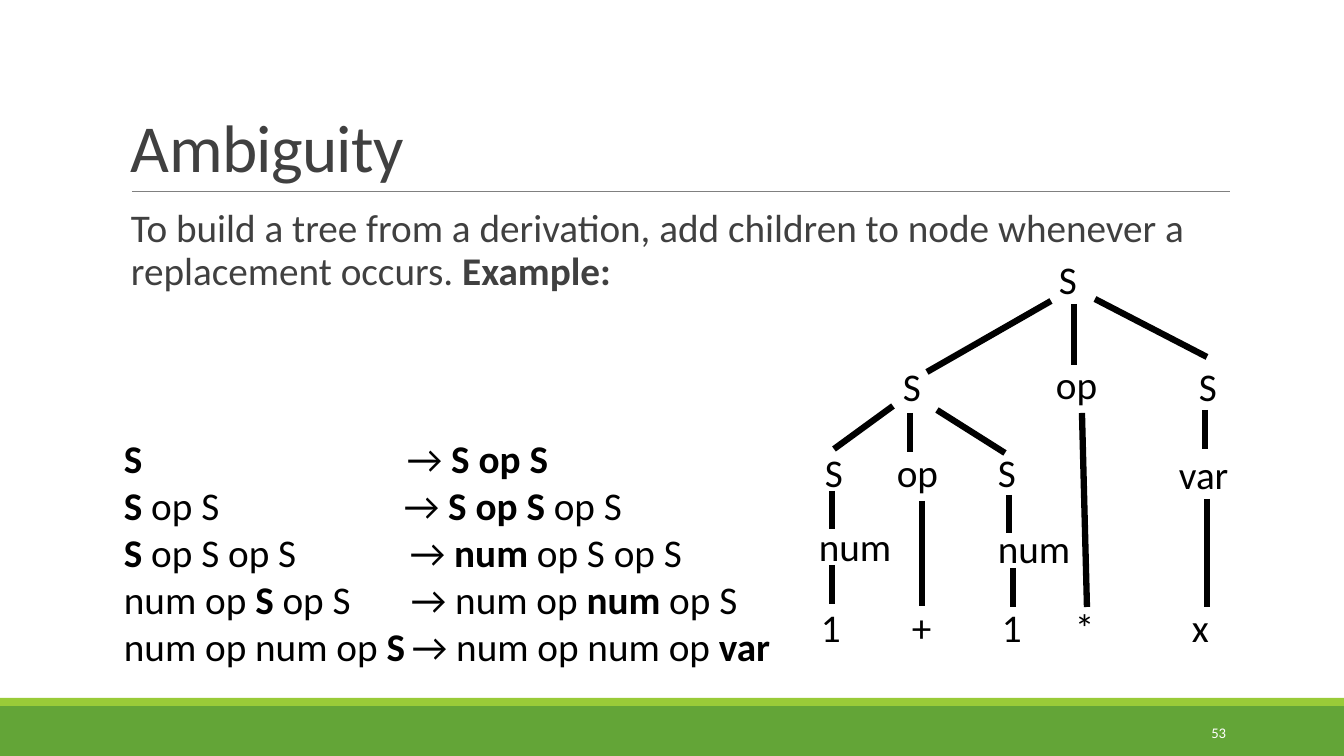
from dataclasses import dataclass
from typing import NamedTuple

from lxml import etree
from pptx import Presentation
from pptx import util as u
from pptx.dml.color import RGBColor
from pptx.enum import shapes, text
from pptx.oxml import ns

EMU_PER_PX = 12192000 / 1344


@dataclass(frozen=True)
class Theme:
    font: str = "Calibri"
    ink: str = "000000"
    heading: str = "404040"
    rule: str = "808080"
    band: str = "63A537"
    accent: str = "99CB38"
    paper: str = "FFFFFF"
    title_size: float = 48
    text_size: float = 28
    number_size: float = 10.5
    branch_width: float = 4.5
    rule_width: float = 0.5


class Span(NamedTuple):
    text: str
    bold: bool = False


class Frame(NamedTuple):
    left: int
    top: int
    width: int
    height: int


class Node(NamedTuple):
    label: str
    left: int
    top: int


class Branch(NamedTuple):
    x1: int
    y1: int
    x2: int
    y2: int


class Step(NamedTuple):
    arrow_tab: int
    before: list[Span]
    after: list[Span]


THEME = Theme()
NODE_HEIGHT = 57
NODE_WIDTHS = {"op": 70, "num": 105, "var": 106}
LEAF_TOP = 598

NODES = [
    Node("S", 1049, 250),
    Node("S", 893, 357), Node("op", 1046, 355), Node("S", 1189, 357),
    Node("S", 815, 443), Node("op", 887, 443), Node("S", 988, 443),
    Node("var", 1169, 445),
    Node("num", 809, 517), Node("num", 988, 519),
] + [
    Node(label, left, LEAF_TOP)
    for label, left in [("1", 811), ("+", 902), ("1", 992), ("*", 1065), ("x", 1182)]
]

BRANCHES = [
    Branch(1051, 301, 927, 372), Branch(1074, 304, 1074, 365),
    Branch(1095, 299, 1207, 357),
    Branch(893, 406, 834, 449), Branch(910, 413, 910, 452),
    Branch(937, 410, 1005, 453), Branch(1205, 410, 1205, 449),
    Branch(832, 491, 832, 529), Branch(1009, 495, 1009, 533),
    Branch(832, 565, 832, 604), Branch(922, 501, 922, 606),
    Branch(1013, 568, 1013, 607), Branch(1082, 413, 1087, 607),
    Branch(1207, 499, 1207, 607),
]

STEPS = [
    Step(283, [Span("S", True)], [Span("S op S", True)]),
    Step(280, [Span("S", True), Span(" op S")],
         [Span("S op S", True), Span(" op S")]),
    Step(286, [Span("S", True), Span(" op S op S")],
         [Span("num", True), Span(" op S op S")]),
    Step(287, [Span("num op "), Span("S", True), Span(" op S")],
         [Span("num op "), Span("num", True), Span(" op S")]),
    Step(288, [Span("num op num op "), Span("S", True)],
         [Span("num op num op "), Span("var", True)]),
]


def px(length: float) -> u.Emu:
    return u.Emu(round(length * EMU_PER_PX))


def add_band(page, frame: Frame, color: str) -> None:
    band = page.shapes.add_shape(shapes.MSO_SHAPE.RECTANGLE, *map(px, frame))
    band.shadow.inherit = False
    band.fill.solid()
    band.fill.fore_color.rgb = RGBColor.from_string(color)
    band.line.fill.background()


def add_line(page, branch: Branch, color: str, width: float) -> None:
    line = page.shapes.add_connector(shapes.MSO_CONNECTOR.STRAIGHT, *map(px, branch))
    line.line.color.rgb = RGBColor.from_string(color)
    line.line.width = u.Pt(width)
    etree.SubElement(line._element.spPr, ns.qn("a:effectLst"))


def add_box(page, frame: Frame, anchor=text.MSO_ANCHOR.TOP):
    box = page.shapes.add_textbox(*map(px, frame))
    box.text_frame.word_wrap = True
    box.text_frame.vertical_anchor = anchor
    return box.text_frame


def add_spans(para, spans: list[Span], size: float, color: str) -> None:
    for span in spans:
        run = para.add_run()
        run.text = span.text
        run.font.name = THEME.font
        run.font.size = u.Pt(size)
        run.font.bold = span.bold
        run.font.color.rgb = RGBColor.from_string(color)


def add_title(page) -> None:
    frame = add_box(page, Frame(121, 31, 1109, 160), text.MSO_ANCHOR.BOTTOM)
    para = frame.paragraphs[0]
    para.line_spacing = 0.85
    add_spans(para, [Span("Ambiguity")], THEME.title_size, THEME.heading)
    para.runs[0].font._element.set("spc", "-50")


def add_intro(page) -> None:
    frame = add_box(page, Frame(121, 204, 1109, 90))
    frame.margin_left = px(10)
    frame.margin_right = 0
    para = frame.paragraphs[0]
    para.line_spacing = 0.9
    sentence = ("To build a tree from a derivation, add children to node "
                "whenever a replacement occurs. ")
    add_spans(para, [Span(sentence), Span("Example:", True)],
              THEME.text_size, THEME.heading)


def add_derivation(page) -> None:
    frame = add_box(page, Frame(114, 429, 672, 248))
    for index, step in enumerate(STEPS):
        para = frame.paragraphs[0] if index == 0 else frame.add_paragraph()
        tabs = etree.SubElement(para._p.get_or_add_pPr(), ns.qn("a:tabLst"))
        etree.SubElement(tabs, ns.qn("a:tab"), pos=str(px(step.arrow_tab)), algn="l")
        add_spans(para, [*step.before, Span("\t→ "), *step.after],
                  THEME.text_size, THEME.ink)


def add_node(page, node: Node) -> None:
    width = NODE_WIDTHS.get(node.label, 45)
    frame = add_box(page, Frame(node.left, node.top, width, NODE_HEIGHT))
    add_spans(frame.paragraphs[0], [Span(node.label)], THEME.text_size, THEME.ink)


def add_page_number(page) -> None:
    frame = add_box(page, Frame(1092, 713, 144, 40), text.MSO_ANCHOR.MIDDLE)
    para = frame.paragraphs[0]
    para.alignment = text.PP_ALIGN.RIGHT
    add_spans(para, [Span("53")], THEME.number_size, THEME.paper)


def main() -> None:
    deck = Presentation()
    deck.slide_width, deck.slide_height = px(1344), px(756)
    page = deck.slides.add_slide(deck.slide_layouts[6])
    add_band(page, Frame(0, 706, 1344, 50), THEME.band)
    add_band(page, Frame(0, 698, 1344, 8), THEME.accent)
    add_line(page, Branch(132, 191, 1230, 191), THEME.rule, THEME.rule_width)
    add_title(page)
    add_intro(page)
    add_derivation(page)
    for node in NODES:
        add_node(page, node)
    for branch in BRANCHES:
        add_line(page, branch, THEME.ink, THEME.branch_width)
    add_page_number(page)
    deck.save("out.pptx")


if __name__ == "__main__":
    main()
